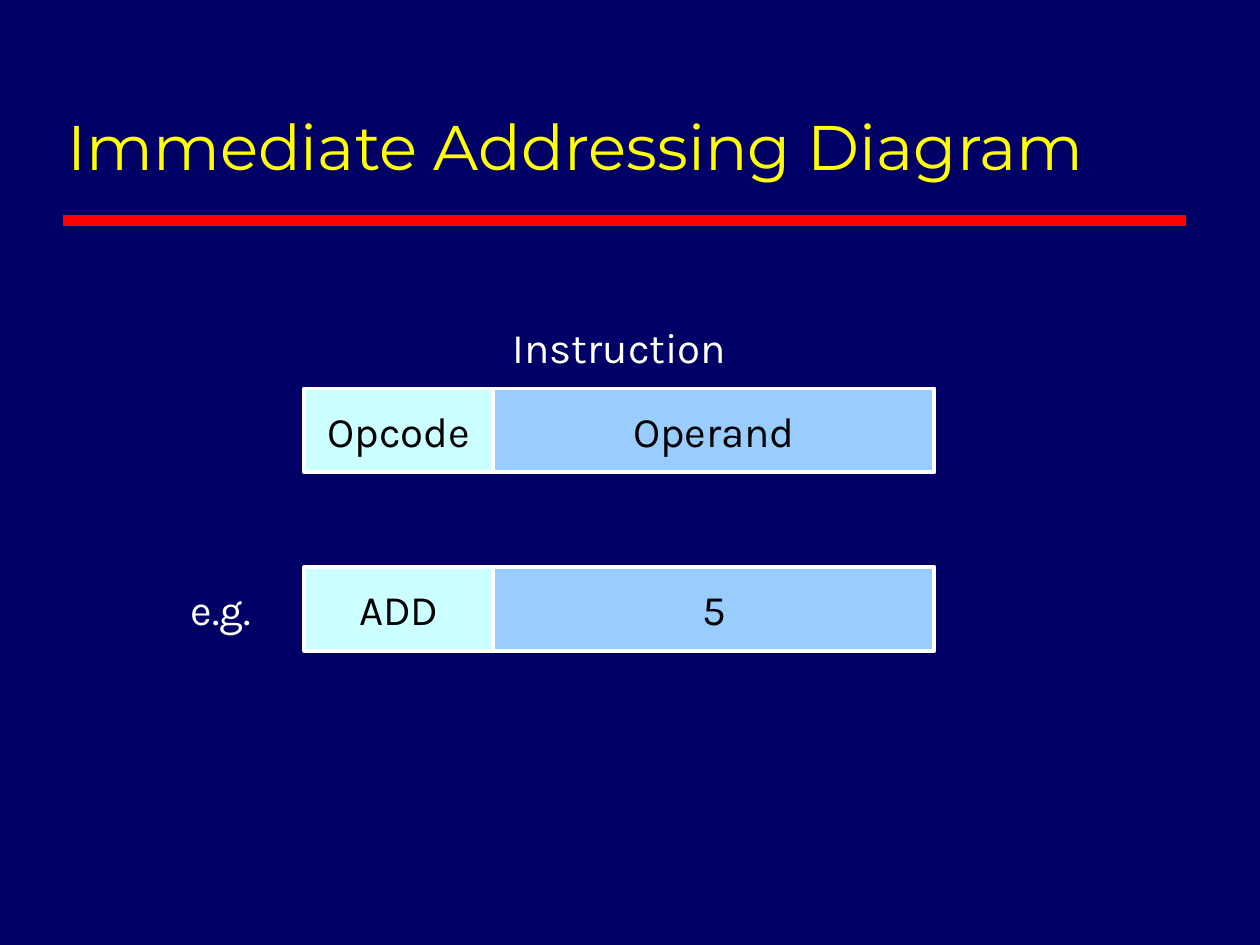
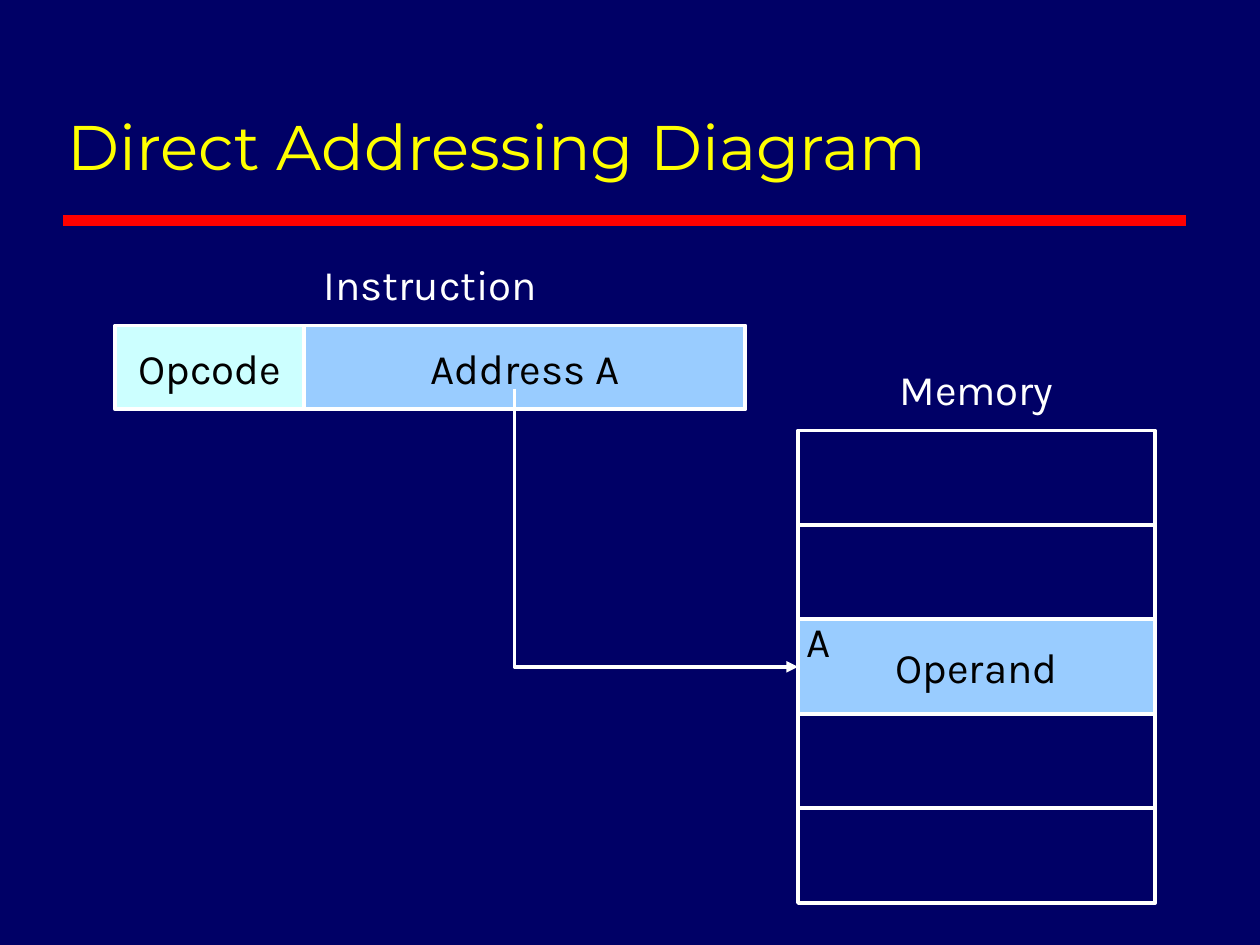
from lxml import etree
from pptx import Presentation
from pptx import util as u
from pptx.dml.color import RGBColor
from pptx.enum import shapes, text
from pptx.oxml.ns import qn

COLUMNS, ROWS = 120, 90
UNIT = u.Inches(10) // COLUMNS  # square grid cell

NAVY, RED, YELLOW, WHITE, BLACK = "000066", "FF0000", "FFFF00", "FFFFFF", "000000"
SKY, CYAN = "99CCFF", "CCFFFF"

TITLE = {"name": "Montserrat", "size": u.Pt(36)}
BODY = {"name": "Karla", "size": u.Pt(24)}
BORDER = 2.25

LABEL_HEIGHT, CAPTION_RISE = 6, 7
FIELD_HEIGHT, OPCODE_WIDTH, OPERAND_WIDTH = 8, 18, 42
MEMORY_WIDTH, CELL_HEIGHT, CELLS, OPERAND_CELL = 34, 9, 5, 2


def color(hex_code):
    return RGBColor.from_string(hex_code)


def grid(*lengths):
    return [u.Emu(round(length * UNIT)) for length in lengths]


def set_line(line, hex_code, points):
    line.color.rgb = color(hex_code)
    line.width = u.Pt(points)


def write(shape, words, hex_code, style=BODY, align=text.PP_ALIGN.CENTER,
          anchor=text.MSO_ANCHOR.MIDDLE):
    frame = shape.text_frame
    frame.word_wrap = True
    frame.vertical_anchor = anchor
    para = frame.paragraphs[0]
    para.alignment = align
    span = para.add_run()
    span.text = words
    span.font.color.rgb = color(hex_code)
    for key, value in style.items():
        setattr(span.font, key, value)


def add_label(page, box, words, hex_code=WHITE, **options):
    write(page.shapes.add_textbox(*grid(*box)), words, hex_code, **options)


def add_caption(page, left, top, width, words):
    """Centre a heading above the block that starts at left, top."""
    add_label(page, (left, top - CAPTION_RISE, width, LABEL_HEIGHT), words)


def add_cell(page, box, fill=None, words=""):
    cell = page.shapes.add_shape(shapes.MSO_SHAPE.RECTANGLE, *grid(*box))
    cell.shadow.inherit = False
    set_line(cell.line, WHITE, BORDER)
    if fill:
        cell.fill.solid()
        cell.fill.fore_color.rgb = color(fill)
    else:
        cell.fill.background()
    if words:
        write(cell, words, BLACK)


def add_instruction(page, left, top, opcode, operand):
    add_cell(page, (left + OPCODE_WIDTH, top, OPERAND_WIDTH, FIELD_HEIGHT), SKY, operand)
    add_cell(page, (left, top, OPCODE_WIDTH, FIELD_HEIGHT), CYAN, opcode)


def add_memory(page, left, top):
    add_caption(page, left, top, MEMORY_WIDTH, "Memory")
    for index in range(CELLS):
        content = (SKY, "Operand") if index == OPERAND_CELL else ()
        add_cell(page, (left, top + index * CELL_HEIGHT, MEMORY_WIDTH, CELL_HEIGHT), *content)
    add_label(page, (left - 1, top + OPERAND_CELL * CELL_HEIGHT - 1, 6, LABEL_HEIGHT),
              "A", BLACK)


def add_elbow_arrow(page, start, end):
    """Draw down from start, then across to an arrowhead at end."""
    corner = (start[0], end[1])
    builder = page.shapes.build_freeform(*grid(*start))
    builder.add_line_segments([grid(*corner), grid(*end)], close=False)
    arrow = builder.convert_to_shape()
    arrow.shadow.inherit = False
    arrow.fill.background()
    set_line(arrow.line, WHITE, BORDER)
    etree.SubElement(arrow.line._get_or_add_ln(), qn("a:tailEnd"), type="triangle")


def add_page(deck, title):
    page = deck.slides.add_slide(deck.slide_layouts[6])
    rule = page.shapes.add_connector(shapes.MSO_CONNECTOR.STRAIGHT, *grid(6, 21, 113, 21))
    set_line(rule.line, RED, 6)
    etree.SubElement(rule._element.spPr, qn("a:effectLst"))
    add_label(page, (5.25, 3, 107.65, 15), title, YELLOW, style=TITLE,
              align=text.PP_ALIGN.LEFT, anchor=text.MSO_ANCHOR.BOTTOM)
    return page


def add_immediate_page(deck):
    page = add_page(deck, "Immediate Addressing Diagram")
    left, top, example_top = 29, 37, 54
    add_caption(page, left, top, OPCODE_WIDTH + OPERAND_WIDTH, "Instruction")
    add_instruction(page, left, top, "Opcode", "Operand")
    add_instruction(page, left, example_top, "ADD", "5")
    add_label(page, (left - 12, example_top + 1, 10, LABEL_HEIGHT), "e.g.",
              align=text.PP_ALIGN.LEFT)


def add_direct_page(deck):
    page = add_page(deck, "Direct Addressing Diagram")
    left, top = 11, 31
    memory_left, memory_top = 76, 41
    add_caption(page, left, top, OPCODE_WIDTH + OPERAND_WIDTH, "Instruction")
    add_instruction(page, left, top, "Opcode", "Address A")
    add_memory(page, memory_left, memory_top)
    operand_middle = memory_top + (OPERAND_CELL + 0.5) * CELL_HEIGHT
    add_elbow_arrow(page, (left + OPCODE_WIDTH + 20, top + 6), (memory_left, operand_middle))


def main():
    deck = Presentation()
    deck.slide_width, deck.slide_height = grid(COLUMNS, ROWS)
    backdrop = deck.slide_master.background.fill
    backdrop.solid()
    backdrop.fore_color.rgb = color(NAVY)
    add_immediate_page(deck)
    add_direct_page(deck)
    deck.save("out.pptx")


if __name__ == "__main__":
    main()
